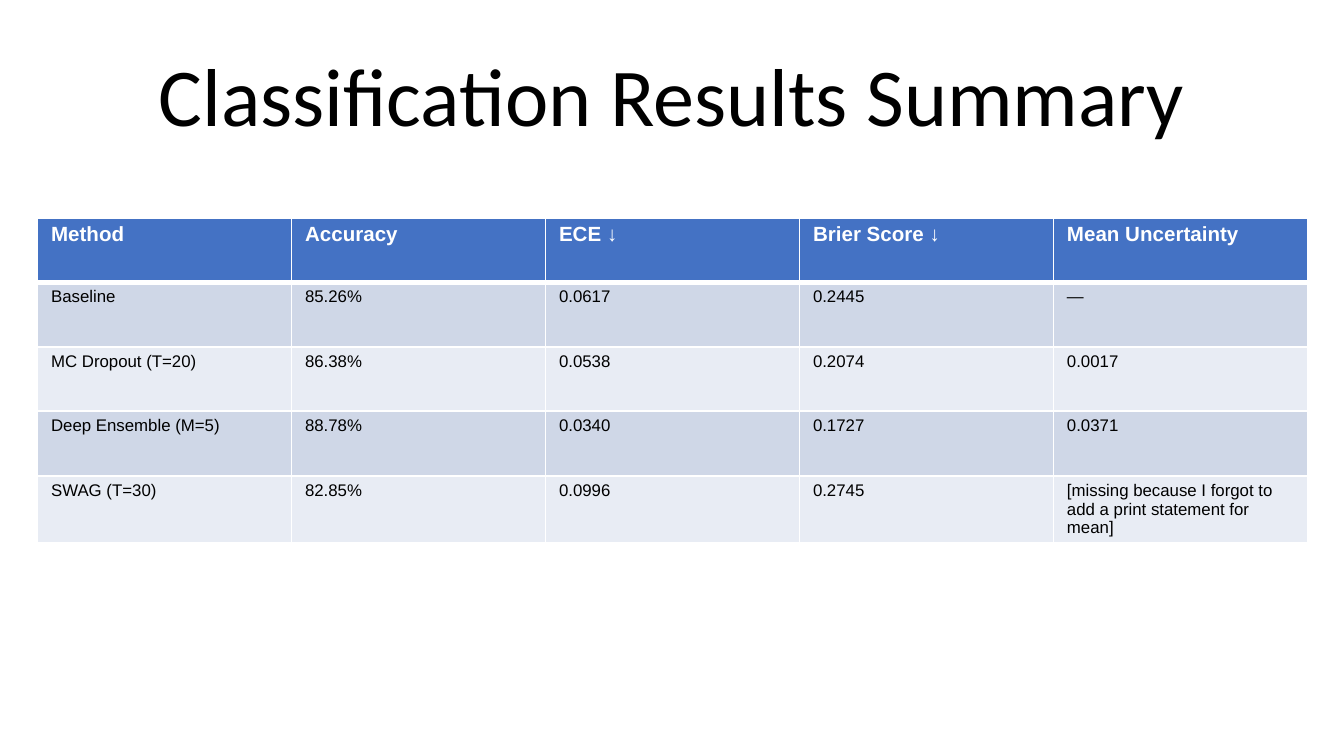
"""Build a slide with a table that summarises classification results."""
from pptx import Presentation
from pptx import util as u
from pptx.dml.color import RGBColor
from pptx.enum import text
from pptx.oxml import parse_xml
from pptx.oxml.ns import nsdecls

TITLE = "Classification Results Summary"
RESULTS = [
    ("Method", "Accuracy", "ECE ↓", "Brier Score ↓", "Mean Uncertainty"),
    ("Baseline", "85.26%", "0.0617", "0.2445", "—"),
    ("MC Dropout (T=20)", "86.38%", "0.0538", "0.2074", "0.0017"),
    ("Deep Ensemble (M=5)", "88.78%", "0.0340", "0.1727", "0.0371"),
    ("SWAG (T=30)", "82.85%", "0.0996", "0.2745",
     "[missing because I forgot to add a print statement for mean]"),
]
HEADER_FILL = "4472C4"
BAND_FILLS = ("E8ECF4", "CFD7E7")
BLACK, WHITE = "000000", "FFFFFF"
SLIDE_WIDTH = 10
COLUMN_WIDTH, ROW_HEIGHT = 1.89, 0.48


def color(value):
    return RGBColor.from_string(value)


def write(frame, content, *, size, font, ink, bold=False, align=text.PP_ALIGN.LEFT):
    paragraph = frame.paragraphs[0]
    paragraph.alignment = align
    run = paragraph.add_run()
    run.text = content
    run.font.size = u.Pt(size)
    run.font.name = font
    run.font.bold = bold
    run.font.color.rgb = color(ink)


def add_borders(cell, **widths):
    properties = cell._tc.get_or_add_tcPr()
    for side in "LRTB":
        width = u.Pt(widths.get(side, 1))
        properties.append(parse_xml(
            f'<a:ln{side} {nsdecls("a")} w="{width}"><a:solidFill>'
            f'<a:srgbClr val="{WHITE}"/></a:solidFill></a:ln{side}>'))


def add_title(slide):
    title = slide.shapes.title
    title.left, title.top = u.Inches(0.5), u.Inches(0.23)
    title.width, title.height = u.Inches(9), u.Inches(0.94)
    title.text_frame.vertical_anchor = text.MSO_ANCHOR.MIDDLE
    write(title.text_frame, TITLE, size=44, font="Calibri", ink=BLACK,
          align=text.PP_ALIGN.CENTER)


def add_results(slide):
    row_count, column_count = len(RESULTS), len(RESULTS[0])
    table = slide.shapes.add_table(
        row_count, column_count, u.Inches(0.28), u.Inches(1.62),
        u.Inches(COLUMN_WIDTH * column_count), u.Inches(ROW_HEIGHT * row_count)).table
    for row_index, values in enumerate(RESULTS):
        header = row_index == 0
        for column_index, value in enumerate(values):
            cell = table.cell(row_index, column_index)
            cell.margin_left = cell.margin_right = u.Inches(0.1)
            cell.margin_top = cell.margin_bottom = u.Inches(0.04)
            add_borders(cell, B=3 if header else 1, T=3 if row_index == 1 else 1)
            cell.fill.solid()
            cell.fill.fore_color.rgb = color(
                HEADER_FILL if header else BAND_FILLS[row_index % 2])
            write(cell.text_frame, value, size=11 if header else 9, font="Arial",
                  ink=WHITE if header else BLACK, bold=header)


def main():
    presentation = Presentation()
    presentation.slide_width = u.Inches(SLIDE_WIDTH)
    presentation.slide_height = u.Inches(SLIDE_WIDTH * 9 / 16)
    slide = presentation.slides.add_slide(presentation.slide_layouts[5])
    add_title(slide)
    add_results(slide)
    presentation.save("out.pptx")


if __name__ == "__main__":
    main()
